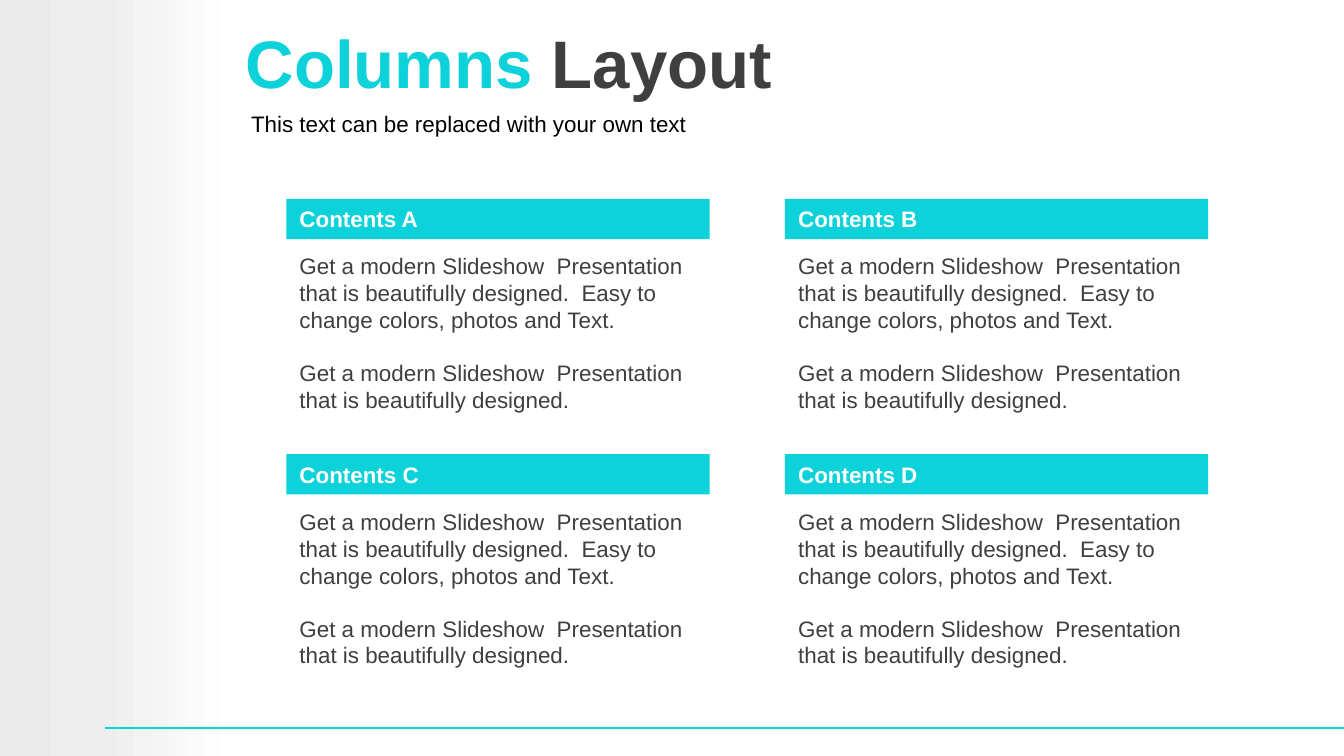
from copy import deepcopy
from itertools import product

from lxml.etree import SubElement
from pptx import Presentation
from pptx.dml.color import RGBColor
from pptx.enum.shapes import MSO_CONNECTOR as Connector, MSO_SHAPE as Shape
from pptx.enum.text import MSO_ANCHOR as Anchor, PP_ALIGN as Align
from pptx.oxml.ns import qn
from pptx.util import Inches, Pt

WIDTH, HEIGHT = 10, 5.625
COLORS = {
    "accent": "0DD2D9",
    "text": "3F3F3F",
    "black": "000000",
    "white": "FFFFFF",
}
BAND_STOPS = [(0, "EAEAEA"), (0.42, "EEEEEE"), (1, "FFFFFF")]
GRID_LEFT, GRID_TOP = 2.13, 1.48
COLUMN_STEP, ROW_STEP = 3.71, 1.9
CARD_WIDTH, HEADER_HEIGHT, BODY_HEIGHT = 3.15, 0.3, 1.31
BODY_OFFSET = 0.35
BODY = [
    "Get a modern Slideshow  Presentation that is beautifully designed.  "
    "Easy to change colors, photos and Text.",
    "Get a modern Slideshow  Presentation that is beautifully designed.",
]


def color(name):
    return RGBColor.from_string(COLORS[name])


def style(font, size, tint, bold=False):
    font.name = "Arial"
    font.size = Pt(size)
    font.bold = bold
    font.color.rgb = color(tint)


def write(frame, lines, tint, bold=False):
    frame.word_wrap = True
    for index, line in enumerate(lines):
        para = frame.add_paragraph() if index else frame.paragraphs[0]
        para.text = line
        para.alignment = Align.LEFT
        para.space_before = Pt(14 if index else 0)
        style(para.font, 12, tint, bold)


def add_text(page, area, lines, tint):
    box = page.shapes.add_textbox(*map(Inches, area))
    write(box.text_frame, lines, tint)


def add_rectangle(page, area):
    box = page.shapes.add_shape(Shape.RECTANGLE, *map(Inches, area))
    box.shadow.inherit = False
    box.line.fill.background()
    return box


def add_side_band(page):
    fill = add_rectangle(page, (0, 0, 1.77, HEIGHT)).fill
    fill.gradient()
    fill.gradient_angle = 0
    first = fill.gradient_stops[0]._gs
    first.addnext(deepcopy(first))
    for stop, (position, tint) in zip(fill.gradient_stops, BAND_STOPS):
        stop.position = position
        stop.color.rgb = RGBColor.from_string(tint)


def add_footer_line(page):
    ends = map(Inches, (0.78, 5.42, WIDTH, 5.42))
    line = page.shapes.add_connector(Connector.STRAIGHT, *ends)
    line.line.color.rgb = color("accent")
    line.line.width = Pt(1)
    SubElement(line._element.spPr, qn("a:effectLst"))


def add_title(page):
    box = page.shapes.add_textbox(*map(Inches, (1.73, 0.03, 8.27, 0.85)))
    frame = box.text_frame
    frame.word_wrap = True
    frame.vertical_anchor = Anchor.MIDDLE
    for word, tint in (("Columns", "accent"), (" Layout", "text")):
        span = frame.paragraphs[0].add_run()
        span.text = word
        style(span.font, 36, tint, True)


def add_card(page, column, row, heading):
    left = GRID_LEFT + column * COLUMN_STEP
    top = GRID_TOP + row * ROW_STEP
    add_text(page, (left, top + BODY_OFFSET, CARD_WIDTH, BODY_HEIGHT), BODY, "text")
    header = add_rectangle(page, (left, top, CARD_WIDTH, HEADER_HEIGHT))
    header.fill.solid()
    header.fill.fore_color.rgb = color("accent")
    header.text_frame.vertical_anchor = Anchor.TOP
    write(header.text_frame, [heading], "white", True)


def main():
    deck = Presentation()
    deck.slide_width, deck.slide_height = Inches(WIDTH), Inches(HEIGHT)
    page = deck.slides.add_slide(deck.slide_layouts[6])
    add_side_band(page)
    add_footer_line(page)
    add_title(page)
    for (row, column), letter in zip(product(range(2), repeat=2), "ABCD"):
        add_card(page, column, row, f"Contents {letter}")
    subtitle = ["This text can be replaced with your own text"]
    add_text(page, (1.77, 0.77, 8.23, 0.29), subtitle, "black")
    deck.save("out.pptx")


if __name__ == "__main__":
    main()
